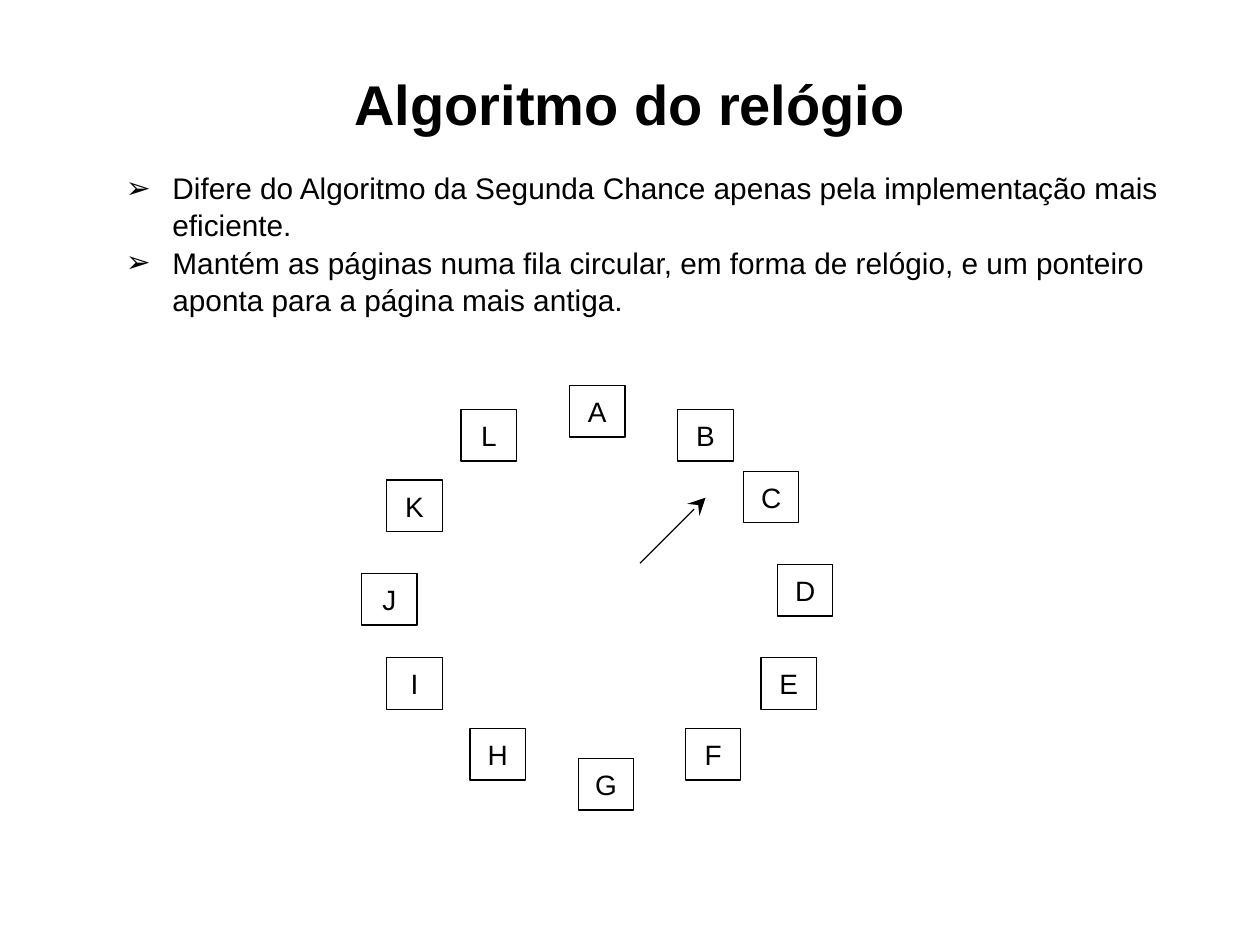
from pptx import Presentation
from pptx.dml.color import RGBColor
from pptx.enum.shapes import MSO_CONNECTOR, MSO_SHAPE
from pptx.enum.text import MSO_ANCHOR, PP_ALIGN
from pptx.oxml.ns import qn
from pptx.util import Inches, Pt
from lxml.etree import SubElement

COLORS = {"ink": "000000", "paper": "FFFFFF"}
FONT = "Arial"
TITLE = "Algoritmo do relógio"
POINTS = [
    "Difere do Algoritmo da Segunda Chance apenas pela implementação mais eficiente.",
    "Mantém as páginas numa fila circular, em forma de relógio, e um ponteiro "
    "aponta para a página mais antiga.",
]
# Left and top of each memory page, clockwise
CLOCK = {
    "A": (4.52, 3.06), "B": (5.38, 3.25), "C": (5.9, 3.74), "D": (6.17, 4.48),
    "E": (6.04, 5.22), "F": (5.44, 5.78), "G": (4.59, 6.02), "H": (3.73, 5.78),
    "I": (3.07, 5.22), "J": (2.87, 4.55), "K": (3.07, 3.81), "L": (3.66, 3.25),
}
CELL_SIZE = (0.44, 0.41)
HAND = (5.08, 4.47, 5.6, 3.95)


def color(name):
    return RGBColor.from_string(COLORS[name])


def inches(*lengths):
    return [Inches(length) for length in lengths]


def style(para, size, align=PP_ALIGN.CENTER, bold=False):
    para.alignment = align
    para.font.name = FONT
    para.font.size = Pt(size)
    para.font.bold = bold
    para.font.color.rgb = color("ink")


def outline(shape):
    shape.line.color.rgb = color("ink")
    shape.line.width = Pt(0.75)


def add_bullet(para):
    props = para._p.get_or_add_pPr()
    props.set("marL", str(Inches(0.5)))
    props.set("indent", str(Inches(-0.37)))
    bullet_color = SubElement(props, qn("a:buClr"))
    SubElement(bullet_color, qn("a:srgbClr"), val=COLORS["ink"])
    SubElement(props, qn("a:buFont"), typeface=FONT)
    SubElement(props, qn("a:buChar"), char="➢")


def add_title(page):
    frame = page.shapes.add_textbox(*inches(0.34, 0.4, 9.32, 0.83)).text_frame
    frame.word_wrap = True
    frame.vertical_anchor = MSO_ANCHOR.MIDDLE
    frame.text = TITLE
    style(frame.paragraphs[0], 32, bold=True)


def add_points(page):
    frame = page.shapes.add_textbox(*inches(0.77, 1.29, 8.73, 1.54)).text_frame
    frame.word_wrap = True
    frame.text = "\n".join(POINTS)
    for para in frame.paragraphs:
        style(para, 17, PP_ALIGN.LEFT)
        para.line_spacing = 1.04
        add_bullet(para)


def add_clock(page):
    clock = page.shapes.add_group_shape()
    for letter, corner in CLOCK.items():
        cell = clock.shapes.add_shape(MSO_SHAPE.RECTANGLE, *inches(*corner, *CELL_SIZE))
        cell.shadow.inherit = False
        cell.fill.background()
        outline(cell)
        cell.text_frame.vertical_anchor = MSO_ANCHOR.MIDDLE
        cell.text_frame.text = letter
        style(cell.text_frame.paragraphs[0], 16)

    hand = clock.shapes.add_connector(MSO_CONNECTOR.STRAIGHT, *inches(*HAND))
    outline(hand)
    SubElement(hand.line._get_or_add_ln(), qn("a:tailEnd"), type="stealth", w="lg", len="lg")
    SubElement(hand._element.spPr, qn("a:effectLst"))


def main():
    deck = Presentation()
    deck.slide_width, deck.slide_height = inches(10, 7.5)
    page = deck.slides.add_slide(deck.slide_layouts[6])
    page.background.fill.solid()
    page.background.fill.fore_color.rgb = color("paper")
    add_title(page)
    add_points(page)
    add_clock(page)
    deck.save("out.pptx")


if __name__ == "__main__":
    main()
